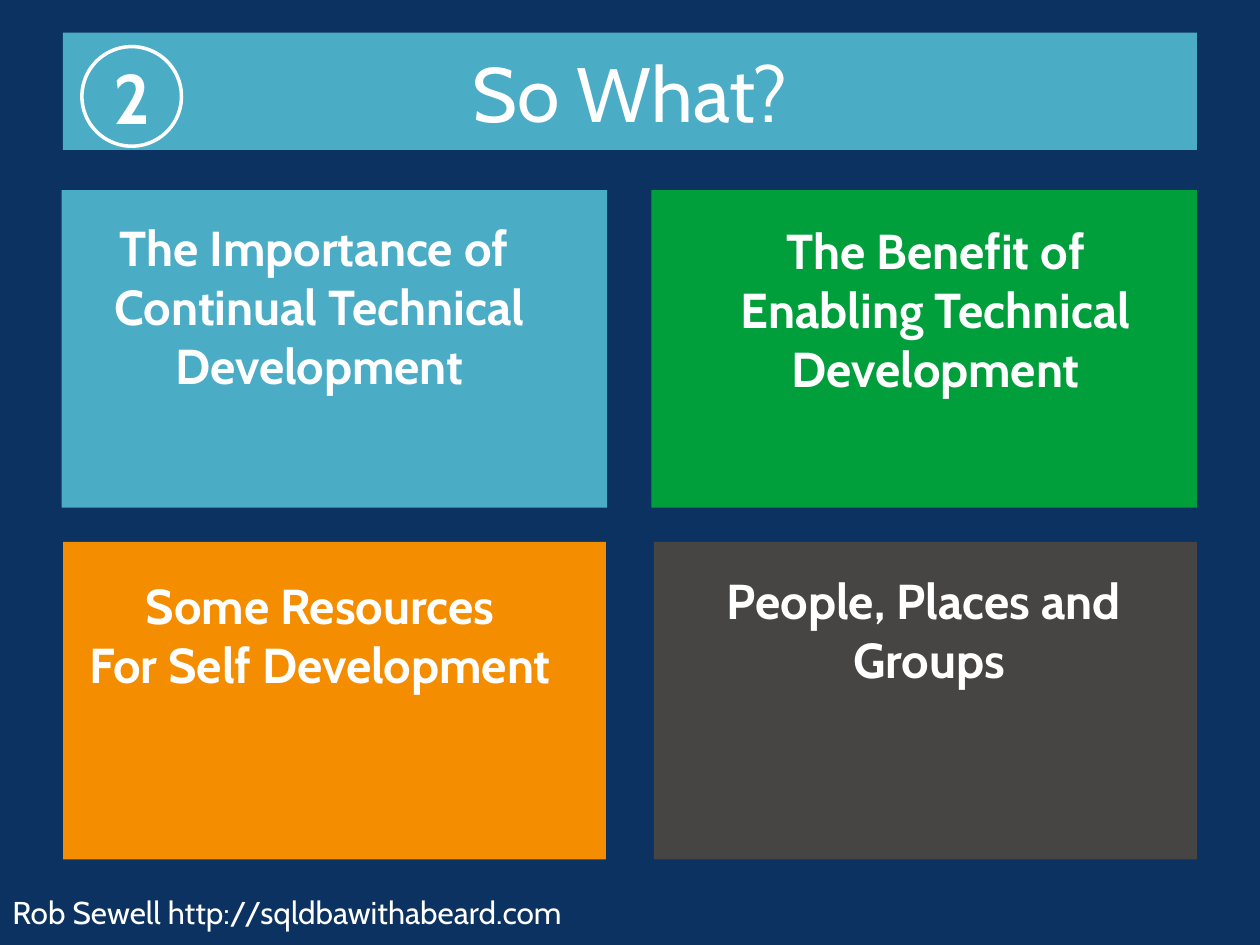
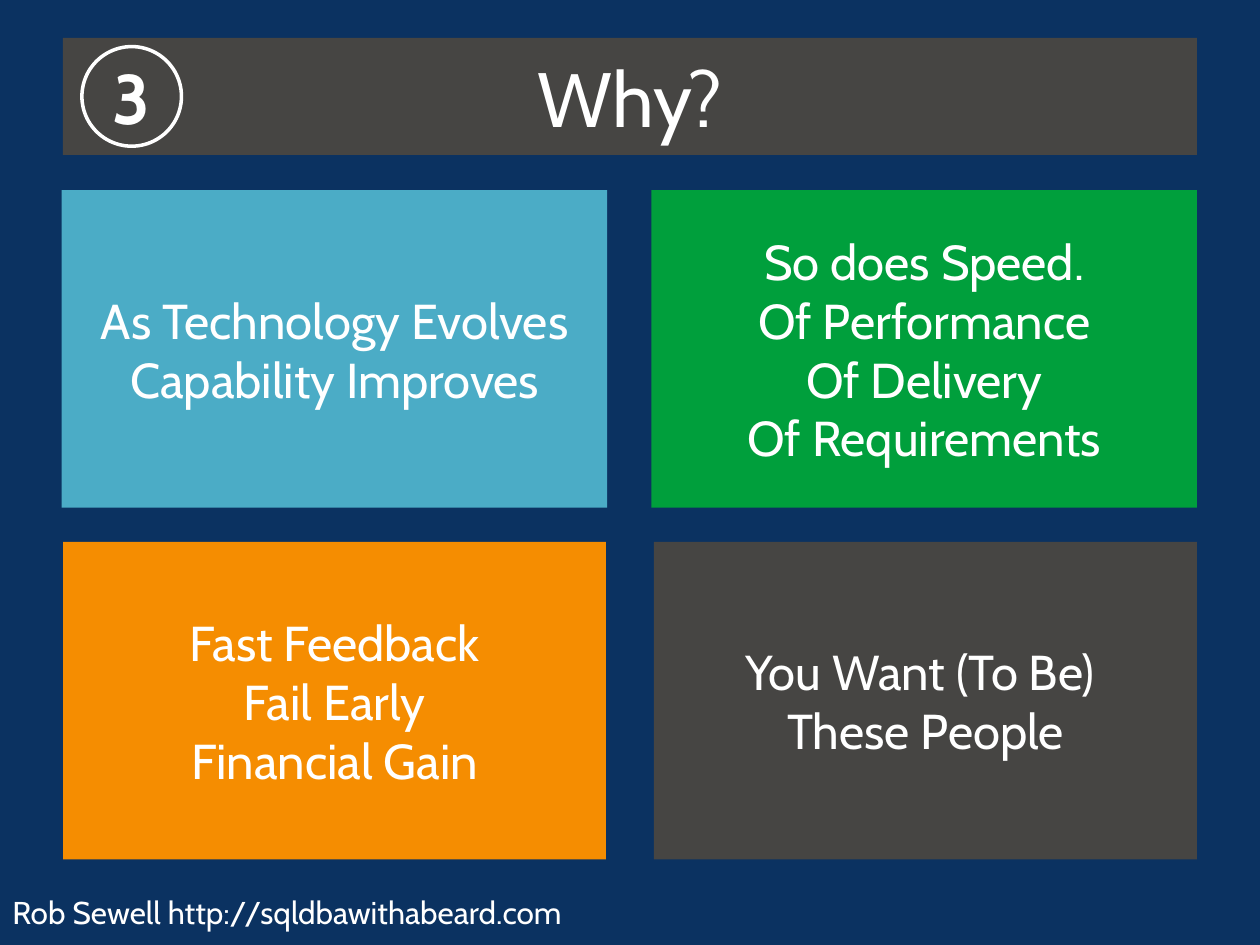
from dataclasses import dataclass
from typing import Optional

from pptx import Presentation
from pptx.dml.color import RGBColor
from pptx.enum.shapes import MSO_SHAPE
from pptx.enum.text import MSO_ANCHOR, MSO_AUTO_SIZE, PP_ALIGN
from pptx.util import Inches, Pt

NAVY = RGBColor(0x0B, 0x32, 0x61)
CYAN = RGBColor(0x4B, 0xAC, 0xC6)
ORANGE = RGBColor(0xF5, 0x8D, 0x01)
GREEN = RGBColor(0x00, 0x9F, 0x3C)
CHARCOAL = RGBColor(0x46, 0x45, 0x43)
WHITE = RGBColor(0xFF, 0xFF, 0xFF)

FONT = "Cabin"
COLUMNS, ROWS = 20, 15
CELL = Inches(0.5)
MARGIN = 1
RIGHT_EDGE = COLUMNS - MARGIN
CARD_HEIGHT = 5.04
FOOTER = "Rob Sewell http://sqldbawithabeard.com"


@dataclass(frozen=True)
class Area:
    column: float
    row: float
    columns: float
    rows: float

    def emu(self) -> tuple[int, ...]:
        return tuple(round(n * CELL) for n in (self.column, self.row, self.columns, self.rows))


@dataclass(frozen=True)
class TextStyle:
    size: int
    bold: bool = False
    align: PP_ALIGN = PP_ALIGN.CENTER


@dataclass(frozen=True)
class Label:
    area: Area
    lines: tuple[str, ...]
    wrap: bool = True


@dataclass(frozen=True)
class Topic:
    number: int
    title: str
    band_color: RGBColor
    band_row: float
    card_texts: tuple[tuple[str, ...], ...] = ((), (), (), ())
    labels: tuple[Label, ...] = ()


TITLE = TextStyle(44)
NUMBER = TextStyle(40, bold=True)
CARD_TEXT = TextStyle(28)
LABEL_TEXT = TextStyle(28, bold=True)
FOOTER_TEXT = TextStyle(18, align=PP_ALIGN.LEFT)

BADGE_AREA = Area(1.3, 0.74, 1.58, 1.58)
FOOTER_AREA = Area(0, 14.08, 17, 0.68)


def card_pair(left: float, row: float, width: float) -> tuple[Area, Area]:
    return (Area(left, row, width, CARD_HEIGHT),
            Area(RIGHT_EDGE - width, row, width, CARD_HEIGHT))


CARDS = tuple(zip(
    card_pair(0.98, 3.02, 8.66) + card_pair(MARGIN, 8.6, 8.62),
    (CYAN, GREEN, ORANGE, CHARCOAL),
))

TOPICS = (
    Topic(2, "So What?", CYAN, 0.52, labels=(
        Label(Area(1.62, 3.36, 6.9, 3.02),
              ("The Importance of ", "Continual Technical ", "Development"), wrap=False),
        Label(Area(11.16, 3.4, 7.38, 3.02),
              ("The Benefit of Enabling Technical Development",)),
        Label(Area(1.22, 9.04, 7.72, 2.08), ("Some Resources", "For Self Development")),
        Label(Area(10.94, 8.96, 7.62, 2.08), ("People, Places and ", "Groups")),
    )),
    Topic(3, "Why?", CHARCOAL, 0.6, card_texts=(
        ("As Technology Evolves Capability Improves",),
        ("So does Speed.\nOf Performance", "Of Delivery", "Of Requirements"),
        ("Fast Feedback\nFail Early\nFinancial Gain",),
        ("You Want (To Be) ", "These People"),
    )),
)


def write(frame, lines: tuple[str, ...], style: TextStyle) -> None:
    for index, line in enumerate(lines):
        paragraph = frame.add_paragraph() if index else frame.paragraphs[0]
        paragraph.text = line
        paragraph.alignment = style.align
        paragraph.font.name = FONT
        paragraph.font.size = Pt(style.size)
        paragraph.font.bold = style.bold
        paragraph.font.color.rgb = WHITE


def add_block(slide, area: Area, color: RGBColor, lines: tuple[str, ...], style: TextStyle) -> None:
    block = slide.shapes.add_shape(MSO_SHAPE.RECTANGLE, *area.emu())
    block.shadow.inherit = False
    block.fill.solid()
    block.fill.fore_color.rgb = color
    block.line.fill.background()
    block.text_frame.vertical_anchor = MSO_ANCHOR.MIDDLE
    write(block.text_frame, lines, style)


def add_text(slide, area: Area, lines: tuple[str, ...], style: TextStyle,
             wrap: bool = True, auto_size: Optional[MSO_AUTO_SIZE] = None) -> None:
    frame = slide.shapes.add_textbox(*area.emu()).text_frame
    frame.word_wrap = wrap
    frame.auto_size = auto_size
    write(frame, lines, style)


def add_badge(slide, number: int) -> None:
    badge = slide.shapes.add_shape(MSO_SHAPE.OVAL, *BADGE_AREA.emu())
    badge.shadow.inherit = False
    badge.fill.background()
    badge.line.color.rgb = WHITE
    badge.line.width = Pt(2)
    frame = badge.text_frame
    frame.margin_left = frame.margin_right = frame.margin_top = frame.margin_bottom = 0
    frame.vertical_anchor = MSO_ANCHOR.MIDDLE
    write(frame, (str(number),), NUMBER)


def add_topic(presentation, topic: Topic) -> None:
    slide = presentation.slides.add_slide(presentation.slide_layouts[6])
    slide.background.fill.solid()
    slide.background.fill.fore_color.rgb = NAVY
    add_text(slide, FOOTER_AREA, (FOOTER,), FOOTER_TEXT)
    for (area, color), lines in zip(CARDS, topic.card_texts):
        add_block(slide, area, color, lines, CARD_TEXT)
    for label in topic.labels:
        add_text(slide, label.area, label.lines, LABEL_TEXT, label.wrap,
                 MSO_AUTO_SIZE.SHAPE_TO_FIT_TEXT)
    band = Area(MARGIN, topic.band_row, RIGHT_EDGE - MARGIN, 1.86)
    add_block(slide, band, topic.band_color, (topic.title,), TITLE)
    add_badge(slide, topic.number)


def main() -> None:
    presentation = Presentation()
    presentation.slide_width = COLUMNS * CELL
    presentation.slide_height = ROWS * CELL
    for topic in TOPICS:
        add_topic(presentation, topic)
    presentation.save("out.pptx")


if __name__ == "__main__":
    main()
